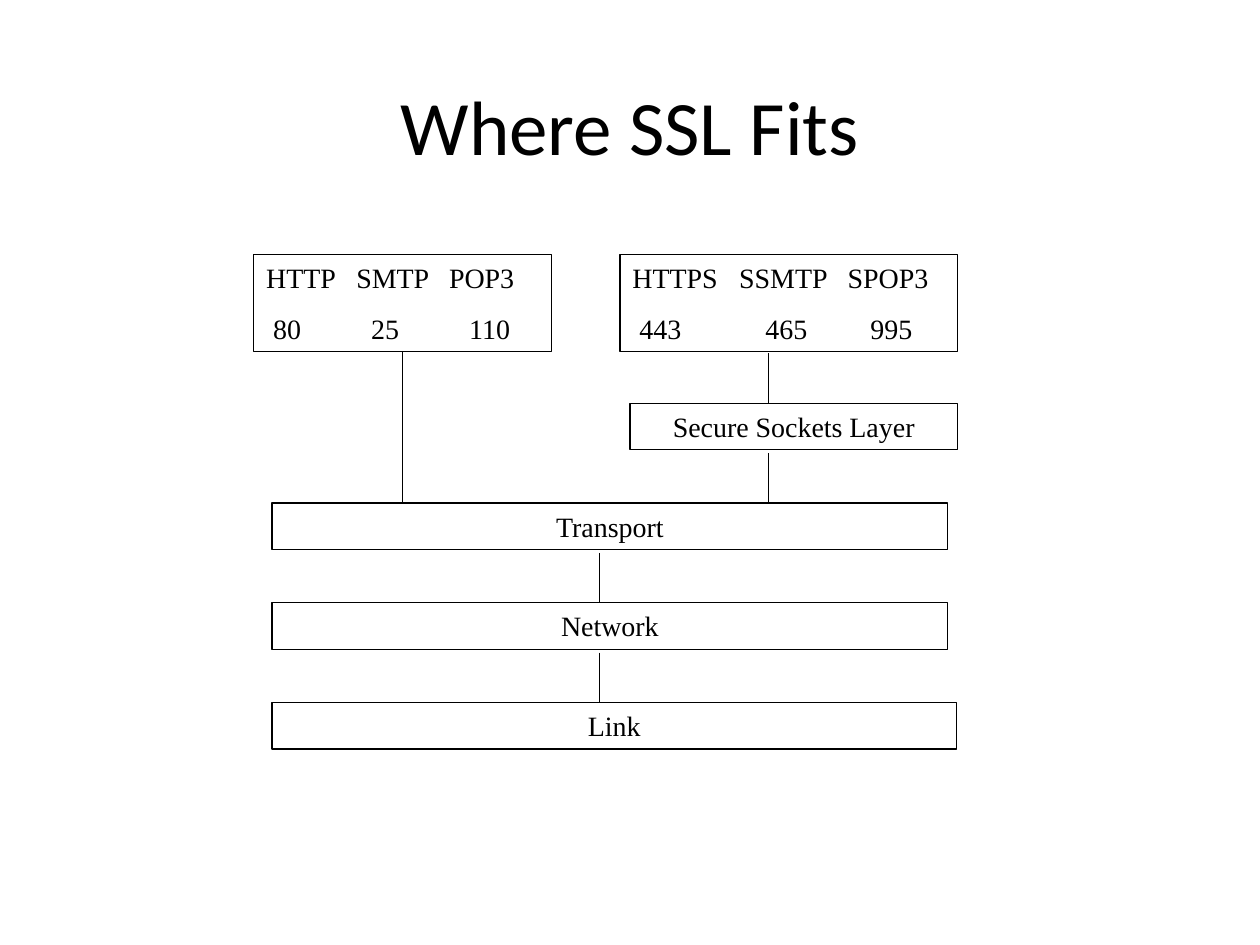
"""Build a slide showing where SSL fits among the network layers."""
from lxml import etree
from pptx import Presentation
from pptx.dml.color import RGBColor
from pptx.enum.shapes import MSO_CONNECTOR, MSO_SHAPE
from pptx.enum.text import MSO_ANCHOR, MSO_AUTO_SIZE, PP_ALIGN
from pptx.oxml.ns import qn
from pptx.util import Pt

RECTANGLE = MSO_SHAPE.RECTANGLE
STRAIGHT = MSO_CONNECTOR.STRAIGHT
LEFT, CENTER = PP_ALIGN.LEFT, PP_ALIGN.CENTER
TOP, MIDDLE = MSO_ANCHOR.TOP, MSO_ANCHOR.MIDDLE
FIT_SHAPE, NO_FIT = MSO_AUTO_SIZE.SHAPE_TO_FIT_TEXT, MSO_AUTO_SIZE.NONE
BOTTOM_SITE = 2

COLORS = {"ink": "000000", "background": "FFFFFF"}
TITLE_FONT = {"name": "Calibri", "size": Pt(44)}
BOX_FONT = {"name": "Times New Roman", "size": Pt(16)}
TITLE_FRAME = {"vertical_anchor": MIDDLE, "auto_size": NO_FIT, "word_wrap": True}
BOX_FRAME = {"vertical_anchor": TOP, "auto_size": FIT_SHAPE, "word_wrap": True,
             "margin_left": Pt(7.2), "margin_right": Pt(7.2),
             "margin_top": Pt(3.6), "margin_bottom": Pt(3.6)}

PORT_TOP, PORT_HEIGHT = 145.5, 55.5
LAYER_TOP, LAYER_STEP, LAYER_HEIGHT = 230.4, 57, 26.6
LINK_LENGTH = 28.4
PORT_BOXES = [
    (145, 170, [("HTTP\tSMTP\tPOP3", [51.5, 104.5]),
                ("\t80\t25\t110", [4, 60, 116])]),
    (354.3, 193, [("HTTPS\tSSMTP\tSPOP3", [61, 123]),
                  ("\t443\t465\t995", [4, 76, 136])]),
]
LAYERS = [
    ("Secure Sockets Layer", 360, 187.2),
    ("Transport", 155.5, 386),
    ("Network", 155.5, 386),
    ("Link", 155.5, 391),
]
SECURE_X, STACK_X = 439.2, 342.7
LINK_COLUMNS = [SECURE_X, SECURE_X, STACK_X, STACK_X]


def apply_format(target, values):
    """Set each attribute named in a dict of format values."""
    for name, value in values.items():
        setattr(target, name, value)


def set_font(paragraph, values):
    """Format a paragraph's font in the ink colour."""
    apply_format(paragraph.font, values)
    paragraph.font.color.rgb = RGBColor.from_string(COLORS["ink"])


def add_tab_stops(paragraph, stops):
    """Add left tab stops, given in points."""
    if stops:
        tab_list = etree.SubElement(paragraph._p.get_or_add_pPr(), qn("a:tabLst"))
        for stop in stops:
            etree.SubElement(tab_list, qn("a:tab"), pos=str(Pt(stop)), algn="l")


def style_line(line):
    """Give an outline or connector the thin ink stroke."""
    line.color.rgb = RGBColor.from_string(COLORS["ink"])
    line.width = Pt(0.75)


def set_title(slide, text):
    """Place and format the slide title."""
    title = slide.shapes.title
    apply_format(title, {"left": Pt(54), "top": Pt(31.5),
                         "width": Pt(612), "height": Pt(79)})
    apply_format(title.text_frame, TITLE_FRAME)
    paragraph = title.text_frame.paragraphs[0]
    paragraph.text = text
    paragraph.alignment = CENTER
    set_font(paragraph, TITLE_FONT)


def add_box(slide, left, top, width, height, rows, alignment):
    """Add an outlined box holding rows of text with tab stops."""
    shape = slide.shapes.add_shape(RECTANGLE, Pt(left), Pt(top), Pt(width), Pt(height))
    shape.shadow.inherit = False
    shape.fill.background()
    style_line(shape.line)
    frame = shape.text_frame
    apply_format(frame, BOX_FRAME)
    for index, (text, stops) in enumerate(rows):
        paragraph = frame.add_paragraph() if index else frame.paragraphs[0]
        paragraph.text = text
        paragraph.alignment = alignment
        paragraph.space_before = Pt(10 if index else 0)
        add_tab_stops(paragraph, stops)
        set_font(paragraph, BOX_FONT)
    return shape


def add_link(slide, x, top, bottom):
    """Add a vertical line between two heights."""
    connector = slide.shapes.add_connector(STRAIGHT, Pt(x), Pt(top), Pt(x), Pt(bottom))
    style_line(connector.line)
    etree.SubElement(connector._element.spPr, qn("a:effectLst"))
    return connector


def main():
    """Build and save the slide."""
    presentation = Presentation()
    presentation.slide_width, presentation.slide_height = Pt(720), Pt(540)
    slide = presentation.slides.add_slide(presentation.slide_layouts[5])
    slide.background.fill.solid()
    slide.background.fill.fore_color.rgb = RGBColor.from_string(COLORS["background"])
    set_title(slide, "Where SSL Fits")

    port_shapes = [add_box(slide, left, PORT_TOP, width, PORT_HEIGHT, rows, LEFT)
                   for left, width, rows in PORT_BOXES]
    layer_tops = [LAYER_TOP + LAYER_STEP * index for index in range(len(LAYERS))]
    for (name, left, width), top in zip(LAYERS, layer_tops):
        add_box(slide, left, top, width, LAYER_HEIGHT, [(name, [])], CENTER)
    for x, top in zip(LINK_COLUMNS, layer_tops):
        add_link(slide, x, top - LINK_LENGTH, top)

    plain_left, plain_width, _ = PORT_BOXES[0]
    plain_link = add_link(slide, plain_left + plain_width / 2,
                          PORT_TOP + PORT_HEIGHT, layer_tops[1])
    plain_link.begin_connect(port_shapes[0], BOTTOM_SITE)
    presentation.save("out.pptx")


if __name__ == "__main__":
    main()
